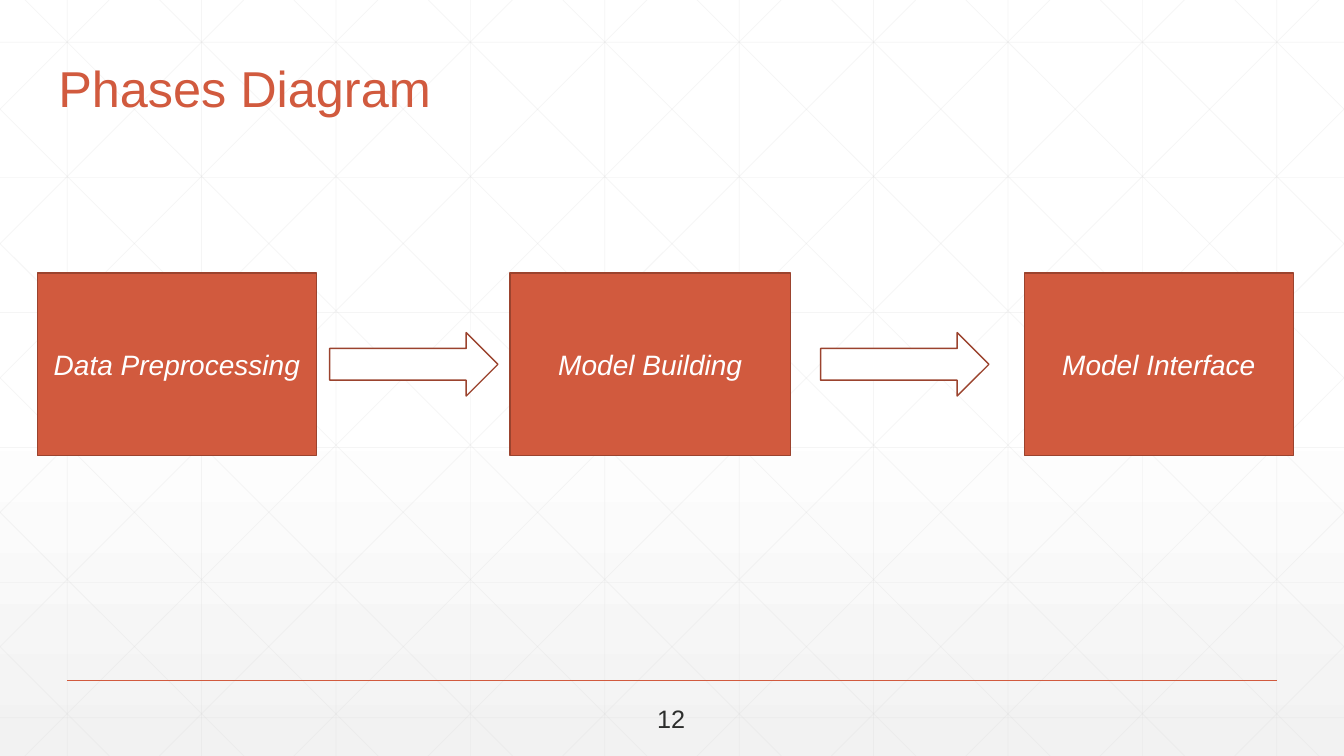
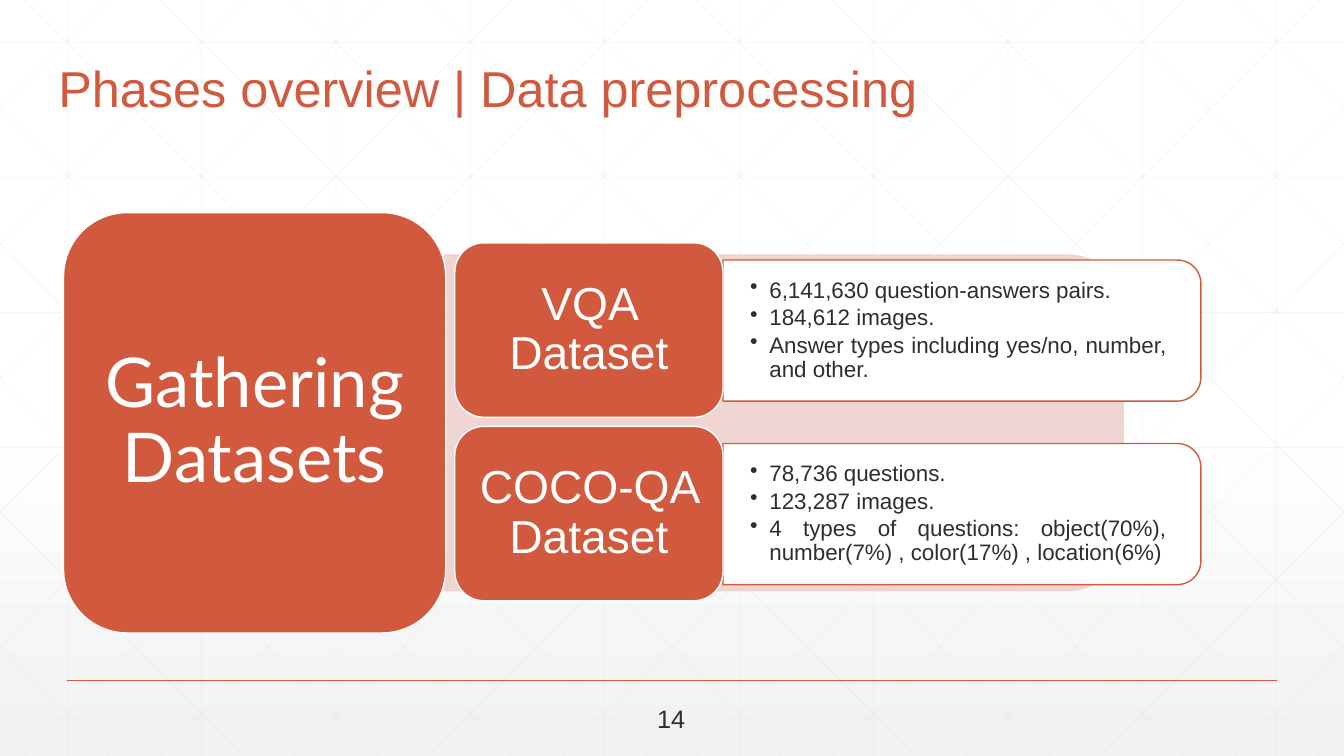
from dataclasses import dataclass

from lxml.etree import SubElement
from pptx import Presentation
from pptx.dml.color import RGBColor
from pptx.enum.shapes import MSO_CONNECTOR as Connector, MSO_SHAPE as Shape
from pptx.enum.text import MSO_ANCHOR as Anchor, PP_ALIGN as Align
from pptx.oxml.ns import qn
from pptx.util import Inches, Pt

WIDTH, HEIGHT = 13.33, 7.5
COLORS = {
    "accent": "D15A3E",
    "edge": "9B432E",
    "tint": "EED2CE",
    "ink": "2D2E2D",
    "white": "FFFFFF",
    "mist": "F2F2F2",
    "lattice": "D9D9D9",
}
STYLES = {
    "title": {"size": Pt(36), "name": "Arial", "color": "accent"},
    "number": {"size": Pt(18), "name": "Arial", "color": "ink"},
    "phase": {"size": Pt(20), "name": "Arial", "italic": True, "color": "white"},
    "topic": {"size": Pt(49), "name": "Lato", "color": "white"},
    "dataset": {"size": Pt(33), "name": "Arial", "color": "white"},
    "fact": {"size": Pt(16), "name": "Arial", "color": "ink"},
}
PHASES = [
    ("Data Preprocessing", 0, 22.23),
    ("Model Building", 37.64, 22.31),
    ("Model Interface", 78.57, 21.43),
]
ARROW_LEFTS = [23.27, 62.36]
DATASETS = [
    ("VQA Dataset", [
        "6,141,630 question-answers pairs.",
        "184,612 images.",
        "Answer types including yes/no, number, and other.",
    ]),
    ("COCO-QA Dataset", [
        "78,736 questions.",
        "123,287 images.",
        "4 types of questions: object(70%), number(7%) , color(17%) , location(6%)",
    ]),
]


@dataclass
class Box:
    left: float
    top: float
    width: float
    height: float

    def share(self, left, top, width, height):
        return Box(
            self.left + self.width * left / 100,
            self.top + self.height * top / 100,
            self.width * width / 100,
            self.height * height / 100,
        )

    def turned(self):
        return Box(
            self.left + (self.width - self.height) / 2,
            self.top + (self.height - self.width) / 2,
            self.height,
            self.width,
        )

    def lengths(self):
        return [Inches(n) for n in (self.left, self.top, self.width, self.height)]


SLIDE = Box(0, 0, WIDTH, HEIGHT)


def rgb(name):
    return RGBColor.from_string(COLORS[name])


def assign(target, values):
    for name, value in values.items():
        setattr(target, name, value)


def set_alpha(properties, percent):
    for color in properties.iter(qn("a:srgbClr")):
        SubElement(color, qn("a:alpha"), val=str(percent * 1000))


def add_line(page, start, end, color, weight, alpha=None):
    line = page.shapes.add_connector(
        Connector.STRAIGHT, *[Inches(n) for n in (*start, *end)])
    line.line.color.rgb = rgb(color)
    line.line.width = Pt(weight)
    properties = line.element.spPr
    if alpha:
        set_alpha(properties, alpha)
    SubElement(properties, qn("a:effectLst"))


def add_figure(page, kind, box, fill, edge, turn=False, alpha=None):
    figure = page.shapes.add_shape(kind, *(box.turned() if turn else box).lengths())
    figure.shadow.inherit = False
    figure.rotation = 90 if turn else 0
    figure.fill.solid()
    figure.fill.fore_color.rgb = rgb(fill)
    figure.line.color.rgb = rgb(edge)
    figure.line.width = Pt(1)
    if alpha:
        set_alpha(figure.element.spPr, alpha)
    return figure


def write(shape, texts, style, frame_format, para_format):
    frame = shape.text_frame
    assign(frame, {"word_wrap": True, **frame_format})
    for index, text in enumerate(texts):
        para = frame.add_paragraph() if index else frame.paragraphs[0]
        assign(para, para_format)
        span = para.add_run()
        span.text = text
        font = dict(STYLES[style])
        span.font.color.rgb = rgb(font.pop("color"))
        assign(span.font, font)
    return frame


def margins(side, end):
    return {
        "margin_left": Inches(side),
        "margin_right": Inches(side),
        "margin_top": Inches(end),
        "margin_bottom": Inches(end),
    }


def draw_lattice(page):
    step = WIDTH / 10
    for column in range(10):
        x = step * (column + 0.5)
        add_line(page, (x, 0), (x, HEIGHT), "lattice", 0.5, 25)
    for row in range(6):
        y = 0.42 + 1.34 * row
        add_line(page, (0, y), (WIDTH, y), "lattice", 0.5, 25)
    for column in range(-5, 10):
        x = 0.25 + step * column
        start = (max(x, 0), max(-x, 0))
        run = min(WIDTH - start[0], HEIGHT - start[1])
        end = (start[0] + run, start[1] + run)
        add_line(page, start, end, "lattice", 0.5, 25)
        add_line(page, (WIDTH - start[0], start[1]), (WIDTH - end[0], end[1]),
                 "lattice", 0.5, 25)


def dress_layout(layout, page):
    for placeholder in list(layout.placeholders):
        layout.shapes.element.remove(placeholder.element)
    fill = layout.background.fill
    fill.gradient()
    fill.gradient_angle = 270
    for stop, (color, position) in zip(
            fill.gradient_stops, [("white", 0.53), ("mist", 1)]):
        stop.color.rgb = rgb(color)
        stop.position = position
    draw_lattice(page)
    add_line(page, (WIDTH * 0.05, HEIGHT * 0.9), (WIDTH * 0.95, HEIGHT * 0.9),
             "accent", 1)
    for line in list(page.shapes):
        layout.shapes.element.append(line.element)


def add_heading(page, box, title, number):
    heading = page.shapes.add_textbox(*box.share(3.6, 7.07, 78.77, 9.2).lengths())
    write(heading, [title], "title",
          {"vertical_anchor": Anchor.BOTTOM}, {"line_spacing": 0.9})
    footer = page.shapes.add_textbox(*box.share(48.16, 92.4, 3.6, 5.33).lengths())
    write(footer, [number], "number", {"word_wrap": False}, {})


def add_phases(page, box):
    for name, left, width in PHASES:
        card = add_figure(page, Shape.RECTANGLE, box.share(left, 0, width, 100),
                          "accent", "edge")
        write(card, [name], "phase", {"vertical_anchor": Anchor.MIDDLE},
              {"alignment": Align.CENTER})
    for left in ARROW_LEFTS:
        add_figure(page, Shape.RIGHT_ARROW, box.share(left, 32.6, 13.4, 34.8),
                   "white", "edge")


def add_card(page, box, text, style, inset):
    card = add_figure(page, Shape.ROUNDED_RECTANGLE, box, "accent", "white")
    write(card, [text], style,
          {"vertical_anchor": Anchor.MIDDLE, **margins(inset, inset / 2)},
          {"alignment": Align.CENTER, "line_spacing": 0.9})


def add_dataset(page, box, name, facts):
    add_figure(page, Shape.ROUND_2_SAME_RECTANGLE,
               box.share(35.95, 9.83, 64.05, 80.9), "white", "accent", turn=True)
    notes = page.shapes.add_textbox(*box.share(35.95, 13.9, 63.1, 72.8).lengths())
    frame = write(notes, facts, "fact",
                  {"vertical_anchor": Anchor.MIDDLE, **margins(0.27, 0.14)},
                  {"alignment": Align.JUSTIFY, "line_spacing": 0.9,
                   "space_after": Pt(2.4)})
    indent = Inches(0.19)
    for para in frame.paragraphs:
        properties = para._p.get_or_add_pPr()
        properties.set("marL", str(indent))
        properties.set("indent", str(-indent))
        SubElement(properties, qn("a:buChar"), char="•")
    add_card(page, box.share(0, 0, 35.95, 100), name, "dataset", 0.14)


def add_gathering(page, box):
    add_figure(page, Shape.ROUND_2_SAME_RECTANGLE,
               box.share(33.51, 10.07, 59.66, 79.86), "tint", "tint",
               turn=True, alpha=90)
    add_card(page, box.share(0, 0, 33.6, 100), "Gathering Datasets", "topic", 0.2)
    for row, (name, facts) in enumerate(DATASETS):
        add_dataset(page, box.share(34.4, 7.19 + 43.65 * row, 65.6, 41.49),
                    name, facts)


def main():
    deck = Presentation()
    deck.slide_width, deck.slide_height = Inches(WIDTH), Inches(HEIGHT)
    blank = deck.slide_layouts[6]

    phases_page = deck.slides.add_slide(blank)
    dress_layout(blank, phases_page)
    add_heading(phases_page, SLIDE, "Phases Diagram", "12")
    add_phases(phases_page, SLIDE.share(2.78, 36.13, 93.46, 24.13))

    data_page = deck.slides.add_slide(blank)
    add_heading(data_page, SLIDE, "Phases overview | Data preprocessing", "14")
    add_gathering(data_page, SLIDE.share(4.73, 28.13, 84.62, 55.6))

    deck.save("out.pptx")


if __name__ == "__main__":
    main()
